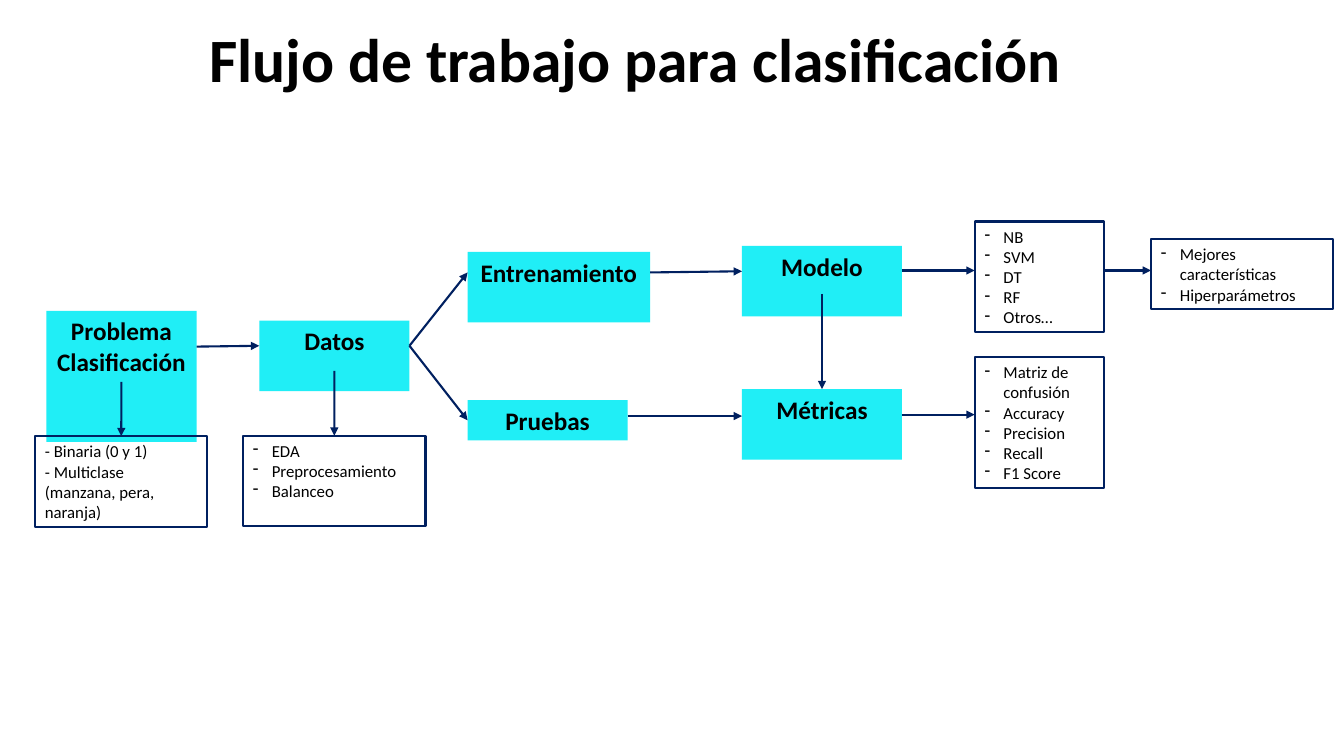
from pptx import Presentation
from pptx.dml.color import RGBColor as RGB
from pptx.enum.shapes import MSO_CONNECTOR as LINK, MSO_SHAPE as SHAPE
from pptx.enum.text import MSO_ANCHOR as ANCHOR, PP_ALIGN as ALIGN
from pptx.oxml.ns import qn
from pptx.util import Pt
from lxml.etree import SubElement as add_tag

HUES = {"cyan": "20EEF6", "navy": "002060", "ink": "000000"}
INSETS = {"margin_left": 7.2, "margin_right": 7.2, "margin_top": 3.6, "margin_bottom": 3.6}
HEAD = {"name": "Calibri", "size": Pt(44), "bold": True}
STEP = {"name": "Calibri", "size": Pt(18), "bold": True}
NOTE = {"name": "Calibri", "size": Pt(12), "bold": False}
HANG = Pt(13.5)

STEPS = {
    "Problema Clasificación": (33.1, 222, 107.3, 93.6),
    "Datos": (185.2, 229, 107.3, 50.4),
    "Entrenamiento": (334, 180, 130.4, 50.4),
    "Pruebas": (334, 285.8, 114.3, 28.8),
    "Modelo": (530, 175.7, 114.3, 50.4),
    "Métricas": (530, 278, 114.3, 50.4),
}
NOTES = {
    "tipos": ((25, 311.6, 123.2, 64.8), False,
              ["- Binaria (0 y 1)", "- Multiclase (manzana, pera, naranja)"]),
    "limpieza": ((173.6, 311.2, 130.4, 64.8), True,
                 ["EDA", "Preprocesamiento", "Balanceo"]),
    "modelos": ((696.2, 158.2, 92.6, 79), True, ["NB", "SVM", "DT", "RF", "Otros…"]),
    "medidas": ((696.2, 255, 92.6, 93.4), True,
                ["Matriz de confusión", "Accuracy", "Precision", "Recall", "F1 Score"]),
    "mejoras": ((822.2, 170.8, 129.8, 50), True,
                ["Mejores características", "Hiperparámetros"]),
}
FLOWS = [
    ("Problema Clasificación", 247.6, "Datos", 247),
    ("Datos", 247, "Entrenamiento", 194.6),
    ("Datos", 247, "Pruebas", 300.2),
    ("Entrenamiento", 194.6, "Modelo", 193.8),
    ("Pruebas", 297.2, "Modelo", 297.2),
    ("Modelo", 193.2, "modelos", 193.2),
    ("Métricas", 296.2, "medidas", 296.2),
    ("modelos", 193.2, "mejoras", 193.2),
]
DROPS = [
    ("Problema Clasificación", 272.8, "tipos"),
    ("Datos", 265, "limpieza"),
    ("Modelo", 210, "Métricas"),
]


def write(shape, lines, style, align, anchor=ANCHOR.TOP):
    frame = shape.text_frame
    frame.word_wrap = True
    frame.vertical_anchor = anchor
    for key, size in INSETS.items():
        setattr(frame, key, Pt(size))
    frame.text = "\n".join(lines)
    for para in frame.paragraphs:
        para.alignment = align
        for run in para.runs:
            for key, value in style.items():
                setattr(run.font, key, value)
            run.font.color.rgb = RGB.from_string(HUES["ink"])
    return frame.paragraphs


def dash(para):
    props = para._p.get_or_add_pPr()
    props.set("marL", str(HANG))
    props.set("indent", str(-HANG))
    add_tag(props, qn("a:buChar"), char="-")


def add_title(slide, box, text):
    shape = slide.shapes.add_textbox(*map(Pt, box))
    for para in write(shape, [text], HEAD, ALIGN.CENTER, ANCHOR.MIDDLE):
        para.line_spacing = 0.9


def add_box(slide, box):
    shape = slide.shapes.add_shape(SHAPE.RECTANGLE, *map(Pt, box))
    shape.shadow.inherit = False
    return shape


def add_step(slide, box, text):
    shape = add_box(slide, box)
    shape.fill.solid()
    shape.fill.fore_color.rgb = RGB.from_string(HUES["cyan"])
    shape.line.fill.background()
    write(shape, [text], STEP, ALIGN.CENTER)
    return shape


def add_note(slide, box, dashed, lines):
    shape = add_box(slide, box)
    shape.fill.background()
    shape.line.color.rgb = RGB.from_string(HUES["navy"])
    shape.line.width = Pt(1.5)
    for para in write(shape, lines, NOTE, ALIGN.LEFT):
        if dashed:
            dash(para)
    return shape


def add_arrow(slide, start, end):
    arrow = slide.shapes.add_connector(LINK.STRAIGHT, *start, *end)
    arrow.line.color.rgb = RGB.from_string(HUES["navy"])
    arrow.line.width = Pt(1.5)
    add_tag(arrow.line._get_or_add_ln(), qn("a:tailEnd"), type="triangle")
    add_tag(arrow._element.spPr, qn("a:effectLst"))
    return arrow


def add_flow(slide, source, leave, target, reach):
    start = source.left + source.width, Pt(leave)
    arrow = add_arrow(slide, start, (target.left, Pt(reach)))
    if abs(target.top + target.height // 2 - Pt(reach)) < Pt(0.5):
        arrow.end_connect(target, 1)


def add_drop(slide, source, leave, target):
    start = source.left + source.width // 2, Pt(leave)
    end = target.left + target.width // 2, target.top
    add_arrow(slide, start, end).end_connect(target, 0)


def main():
    deck = Presentation()
    deck.slide_width, deck.slide_height = Pt(960), Pt(540)
    slide = deck.slides.add_slide(deck.slide_layouts[6])
    add_title(slide, (56, 0, 796, 89), "Flujo de trabajo para clasificación")
    parts = {text: add_step(slide, box, text) for text, box in STEPS.items()}
    for name, note in NOTES.items():
        parts[name] = add_note(slide, *note)
    for source, leave, target, reach in FLOWS:
        add_flow(slide, parts[source], leave, parts[target], reach)
    for source, leave, target in DROPS:
        add_drop(slide, parts[source], leave, parts[target])
    deck.save("out.pptx")


if __name__ == "__main__":
    main()
